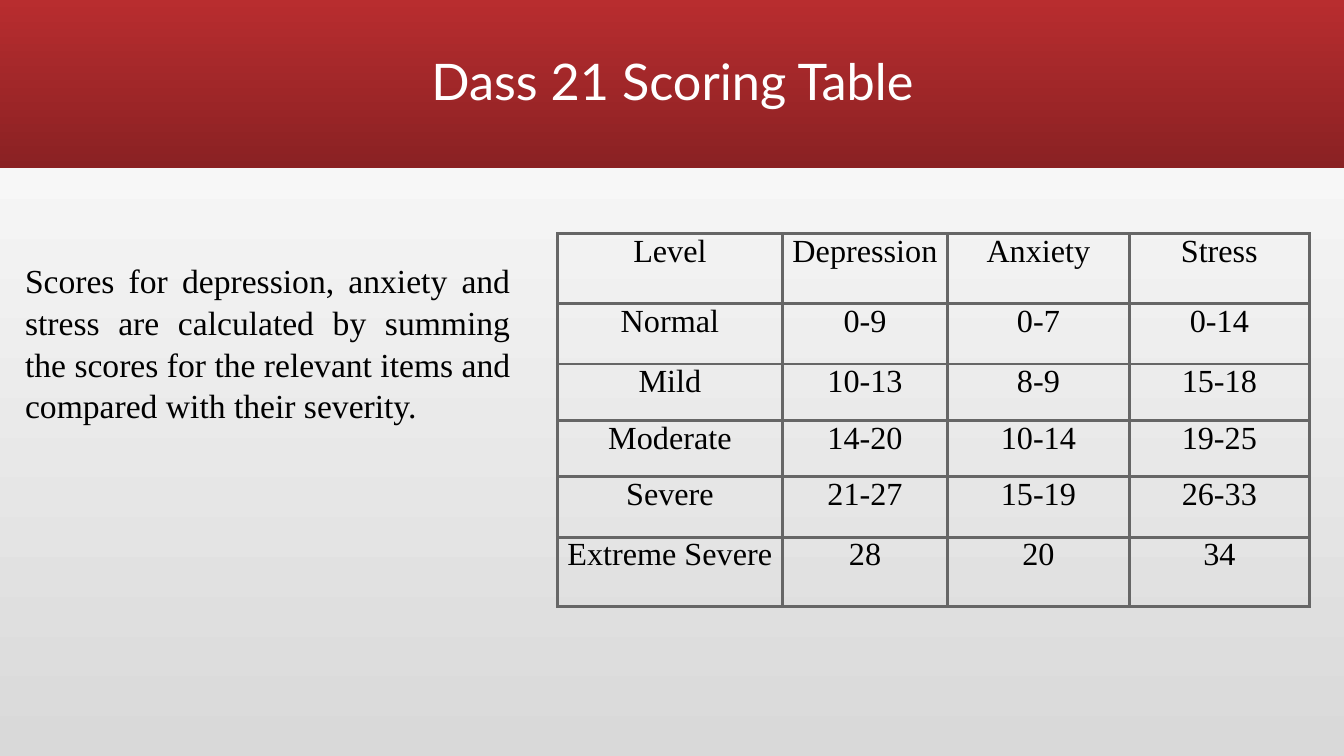
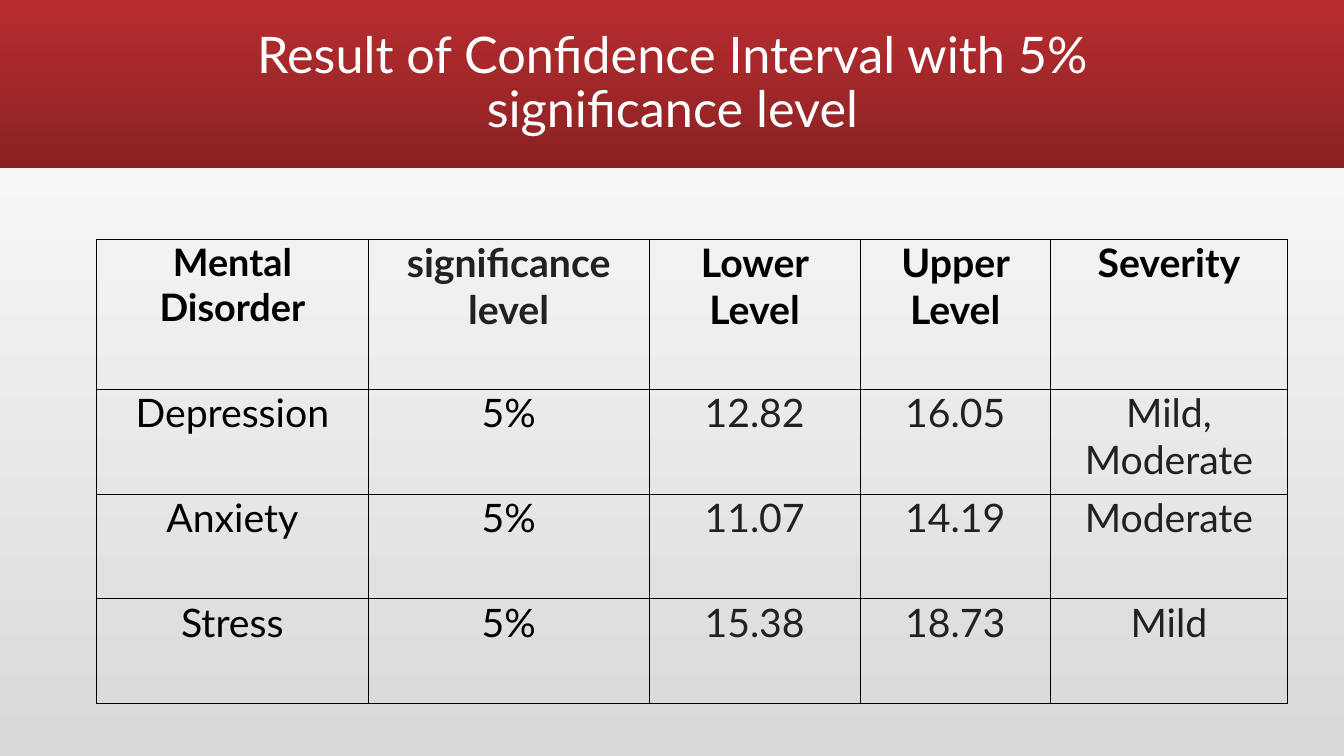
import pptx
import pptx.util
import pptx.oxml.ns
import lxml.etree
from dataclasses import dataclass
from pptx.dml.color import RGBColor
from pptx.enum.shapes import MSO_SHAPE
from pptx.enum.text import MSO_ANCHOR, PP_ALIGN
from pptx.util import Inches


@dataclass(frozen=True)
class Theme:
    band: tuple = ("B82D2F", "8A2123")
    backdrop: tuple = ("D9D9D9", "FFFFFF")
    white: str = "FFFFFF"
    black: str = "000000"
    charcoal: str = "212121"
    grey: str = "666666"
    sans: str = "Lato"
    serif: str = "Times New Roman"
    title_size: int = 36
    body_size: int = 24
    scoring_size: int = 23
    result_size: int = 28
    result_first_size: int = 27


THEME = Theme()
SLIDE_WIDTH, SLIDE_HEIGHT, BAND_HEIGHT = 13.33, 7.5, 1.67

# Content
SCORING_TITLE = "Dass 21 Scoring Table"
SCORING_NOTE = ("Scores for depression, anxiety and stress are calculated by summing "
                "the scores for the relevant items and compared with their severity.")
SCORING_ROWS = [
    ("Level", "Depression", "Anxiety", "Stress"),
    ("Normal", "0-9", "0-7", "0-14"),
    ("Mild", "10-13", "8-9", "15-18"),
    ("Moderate", "14-20", "10-14", "19-25"),
    ("Severe", "21-27", "15-19", "26-33"),
    ("Extreme Severe", "28", "20", "34"),
]
RESULT_TITLE = "Result of Confidence Interval with 5% significance level"
RESULT_ROWS = [
    ("Mental Disorder", "significance level", "Lower Level", "Upper Level", "Severity"),
    ("Depression", "5%", "12.82", "16.05", "Mild, Moderate"),
    ("Anxiety", "5%", "11.07", "14.19", "Moderate"),
    ("Stress", "5%", "15.38", "18.73", "Mild"),
]


# Text and fills
def write(frame, text, *, size, font, color, bold=False, align=PP_ALIGN.CENTER,
          spacing=None, insets=(0.1, 0.05), anchor=MSO_ANCHOR.TOP):
    frame.word_wrap = True
    frame.vertical_anchor = anchor
    frame.margin_left = frame.margin_right = Inches(insets[0])
    frame.margin_top = frame.margin_bottom = Inches(insets[1])
    para = frame.paragraphs[0]
    para.alignment = align
    if spacing:
        para.line_spacing = spacing
    span = para.add_run()
    span.text = text
    span.font.size = pptx.util.Pt(size)
    span.font.name = font
    span.font.bold = bold
    span.font.color.rgb = RGBColor.from_string(color)


def fill_gradient(fill, colors, angle):
    fill.gradient()
    fill.gradient_angle = angle
    for position, (stop, color) in enumerate(zip(fill.gradient_stops, colors)):
        stop.position = position
        stop.color.rgb = RGBColor.from_string(color)


# Shared slide frame
def add_page(deck, title):
    page = deck.slides.add_slide(deck.slide_layouts[6])
    band = page.shapes.add_shape(MSO_SHAPE.RECTANGLE, 0, 0,
                                 Inches(SLIDE_WIDTH), Inches(BAND_HEIGHT))
    band.shadow.inherit = False
    band.line.fill.background()
    fill_gradient(band.fill, THEME.band, 270)
    box = page.shapes.add_textbox(Inches(1.17), Inches(0.11), Inches(11), Inches(1.45))
    write(box.text_frame, title, size=THEME.title_size, font=THEME.sans,
          color=THEME.white, spacing=0.9, anchor=MSO_ANCHOR.MIDDLE)
    return page


# Tables
def set_borders(cell, color, width):
    properties = cell._tc.get_or_add_tcPr()
    qn = pptx.oxml.ns.qn
    for side in ("lnL", "lnR", "lnT", "lnB"):
        line = lxml.etree.SubElement(properties, qn(f"a:{side}"),
                                     w=str(pptx.util.Pt(width)))
        solid = lxml.etree.SubElement(line, qn("a:solidFill"))
        lxml.etree.SubElement(solid, qn("a:srgbClr"), val=color)


def add_grid(page, rows, *, left, top, widths, heights, border, style):
    """Draw a table; style(row, column) gives the text format of a cell."""
    table = page.shapes.add_table(len(rows), len(widths), Inches(left), Inches(top),
                                  Inches(sum(widths)), Inches(sum(heights))).table
    table.first_row = table.horz_banding = False
    for column, width in zip(table.columns, widths):
        column.width = Inches(width)
    for row, height in zip(table.rows, heights):
        row.height = Inches(height)
    for r, texts in enumerate(rows):
        for c, text in enumerate(texts):
            cell = table.cell(r, c)
            set_borders(cell, *border)
            cell.fill.background()
            write(cell.text_frame, text, **style(r, c))
            cell.margin_left = cell.margin_right = Inches(0.07)
            cell.margin_top = cell.margin_bottom = 0


def scoring_style(row, column):
    return dict(size=THEME.scoring_size, font=THEME.serif, color=THEME.black)


def result_style(row, column):
    header = row == 0
    soft = column == 1 if header else column >= 2
    first = header and column == 0
    return dict(size=THEME.result_first_size if first else THEME.result_size,
                font=THEME.sans, bold=header,
                color=THEME.charcoal if soft else THEME.black)


# Slides
def add_scoring_page(deck):
    page = add_page(deck, SCORING_TITLE)
    add_grid(page, SCORING_ROWS, left=5.53, top=2.32, widths=(2.23, 1.64, 1.8, 1.79),
             heights=(0.69, 0.6, 0.56, 0.56, 0.6, 0.69),
             border=(THEME.grey, 2.25), style=scoring_style)
    box = page.shapes.add_textbox(Inches(0.15), Inches(2.46), Inches(5.01), Inches(1.82))
    write(box.text_frame, SCORING_NOTE, size=THEME.body_size, font=THEME.serif,
          color=THEME.black, align=PP_ALIGN.JUSTIFY, spacing=1.04, insets=(0.1, 0.1))


def add_result_page(deck):
    page = add_page(deck, RESULT_TITLE)
    add_grid(page, RESULT_ROWS, left=0.96, top=2.37,
             widths=(2.69, 2.79, 2.09, 1.89, 2.35), heights=(1.49, 1.04, 1.04, 1.04),
             border=(THEME.black, 0.5), style=result_style)


def main():
    deck = pptx.Presentation()
    deck.slide_width, deck.slide_height = Inches(SLIDE_WIDTH), Inches(SLIDE_HEIGHT)
    fill_gradient(deck.slide_master.background.fill, THEME.backdrop, 90)
    add_scoring_page(deck)
    add_result_page(deck)
    deck.save("out.pptx")


if __name__ == "__main__":
    main()
